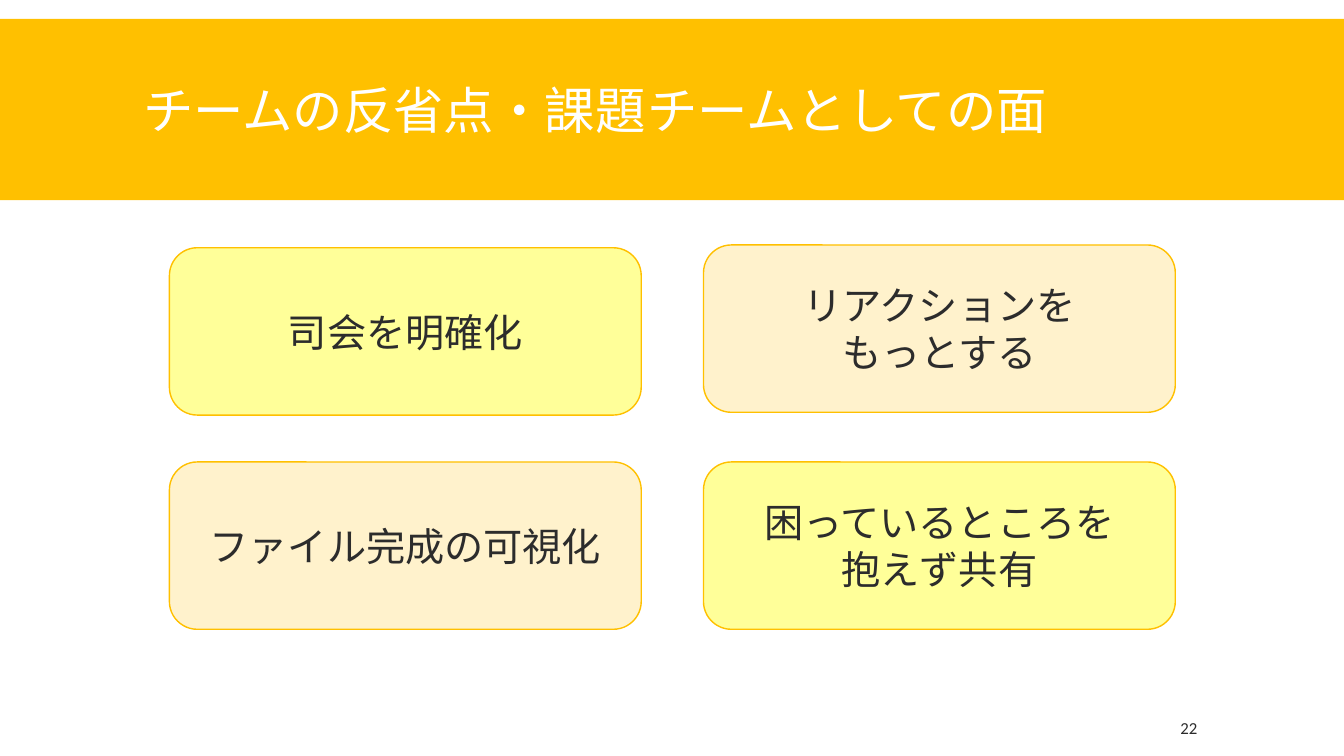
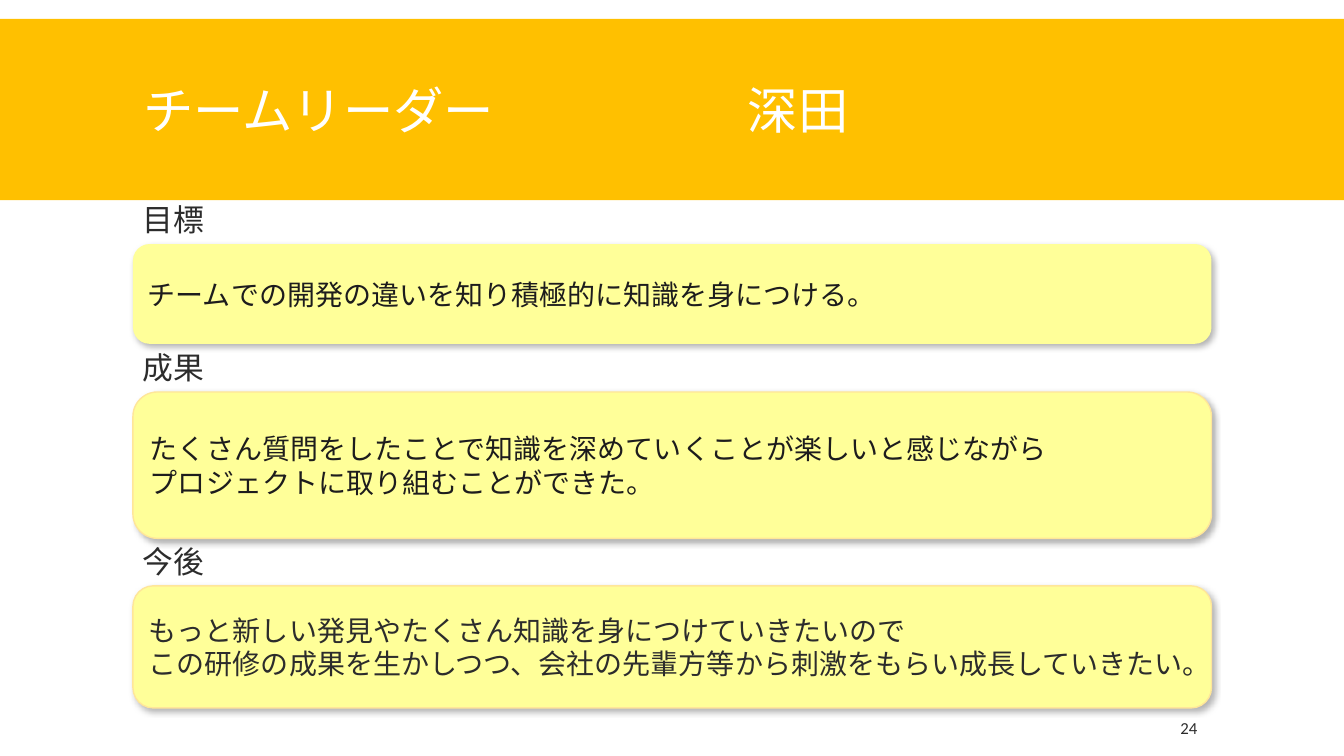
from lxml import etree
from pptx import Presentation
from pptx.dml.color import RGBColor
from pptx.enum.shapes import MSO_SHAPE as Shape
from pptx.enum.text import MSO_ANCHOR as Anchor, PP_ALIGN as Align
from pptx.oxml import parse_xml
from pptx.oxml.ns import nsdecls, qn
from pptx.util import Pt

BAND, WHITE, DARK, INK = "FFC000", "FFFFFF", "2C2C2C", "1D1C1D"
YELLOW, CREAM, SOFT_GOLD = "FFFF99", "FFF2CC", "FFE699"
LATIN, JAPANESE = "Calibri", "Noto Sans CJK JP"
SHADOW = (
    f'<a:effectLst {nsdecls("a")}>'
    '<a:outerShdw blurRad="57150" dist="33020" dir="3180000" algn="ctr" rotWithShape="0">'
    '<a:srgbClr val="000000"><a:alpha val="30000"/></a:srgbClr>'
    '</a:outerShdw></a:effectLst>'
)


def write(shape, text, size, font, colour, align=Align.LEFT):
    """Fill the shape with one paragraph per line of text, centred vertically."""
    frame = shape.text_frame
    frame.text = text
    frame.word_wrap = True
    frame.vertical_anchor = Anchor.MIDDLE
    for para in frame.paragraphs:
        para.alignment = align
        for span in para.runs:
            span.font.size = Pt(size)
            span.font.name = font
            span.font.color.rgb = RGBColor.from_string(colour)
            east_asian = etree.Element(qn("a:ea"), typeface=font)
            span.font._element.find(qn("a:latin")).addnext(east_asian)
    return frame


def add_block(page, kind, place, fill, line=None):
    block = page.shapes.add_shape(kind, *map(Pt, place))
    block.shadow.inherit = False
    block.fill.solid()
    block.fill.fore_color.rgb = RGBColor.from_string(fill)
    if line:
        block.line.color.rgb = RGBColor.from_string(line)
        block.line.width = Pt(1)
    else:
        block.line.fill.background()
    return block


deck = Presentation()
deck.slide_width, deck.slide_height = Pt(960), Pt(540)

# Title band and page number: title, tab stop, number
pages = []
for heading, tab_stop, number in [
    ("チームの反省点・課題\tチームとしての面", 360, "22"),
    ("チームリーダー\t深田", 432, "24"),
]:
    page = deck.slides.add_slide(deck.slide_layouts[5])
    pages.append(page)
    title = page.shapes.title
    title.left, title.top, title.width, title.height = map(Pt, (95, 22.3, 770.4, 118.8))
    band = add_block(page, Shape.RECTANGLE, (0, 13.5, 960, 129.5), BAND)
    title.element.addprevious(band.element)
    para = write(title, heading, 36, LATIN, WHITE).paragraphs[0]
    para.line_spacing = 0.85
    tabs = etree.SubElement(para._p.get_or_add_pPr(), qn("a:tabLst"))
    etree.SubElement(tabs, qn("a:tab"), pos=str(Pt(tab_stop)), algn="l")

    box = page.shapes.add_textbox(Pt(839.5), Pt(505.4), Pt(74.2), Pt(28.8))
    frame = write(box, number, 12, LATIN, DARK)
    frame.margin_left = Pt(3.6)

team_page, leader_page = pages

# Team issues: left, top, fill, text
LEFT, RIGHT, LOWER = 121, 502.5, 330
for left, top, fill, text in [
    (LEFT, 177, YELLOW, "司会を明確化"),
    (LEFT, LOWER, CREAM, "ファイル完成の可視化"),
    (RIGHT, 175, CREAM, "リアクションを\nもっとする"),
    (RIGHT, LOWER, YELLOW, "困っているところを\n抱えず共有"),
]:
    card = add_block(team_page, Shape.ROUNDED_RECTANGLE, (left, top, 337, 119.5), fill, BAND)
    write(card, text, 28, JAPANESE, DARK, Align.CENTER)

# Leader's review: label, card top, card height, outline, text colour, text
LABEL_HEIGHT = 36
for label, top, height, line, colour, text in [
    ("目標", 174.3, 71.3, None, INK,
     "チームでの開発の違いを知り積極的に知識を身につける。"),
    ("成果", 280, 104.5, SOFT_GOLD, INK,
     "たくさん質問をしたことで知識を深めていくことが楽しいと感じながら\n"
     "プロジェクトに取り組むことができた。"),
    ("今後", 418.5, 87.2, SOFT_GOLD, DARK,
     "もっと新しい発見やたくさん知識を身につけていきたいので\n"
     "この研修の成果を生かしつつ、会社の先輩方等から刺激をもらい成長していきたい。"),
]:
    box = leader_page.shapes.add_textbox(Pt(95), Pt(top - LABEL_HEIGHT), Pt(200), Pt(LABEL_HEIGHT))
    write(box, label, 22, LATIN, DARK)
    card = add_block(leader_page, Shape.ROUNDED_RECTANGLE, (95, top, 770.4, height), YELLOW, line)
    properties = card.element.spPr
    properties.replace(properties.find(qn("a:effectLst")), parse_xml(SHADOW))
    write(card, text, 20, JAPANESE, colour)

deck.save("out.pptx")
